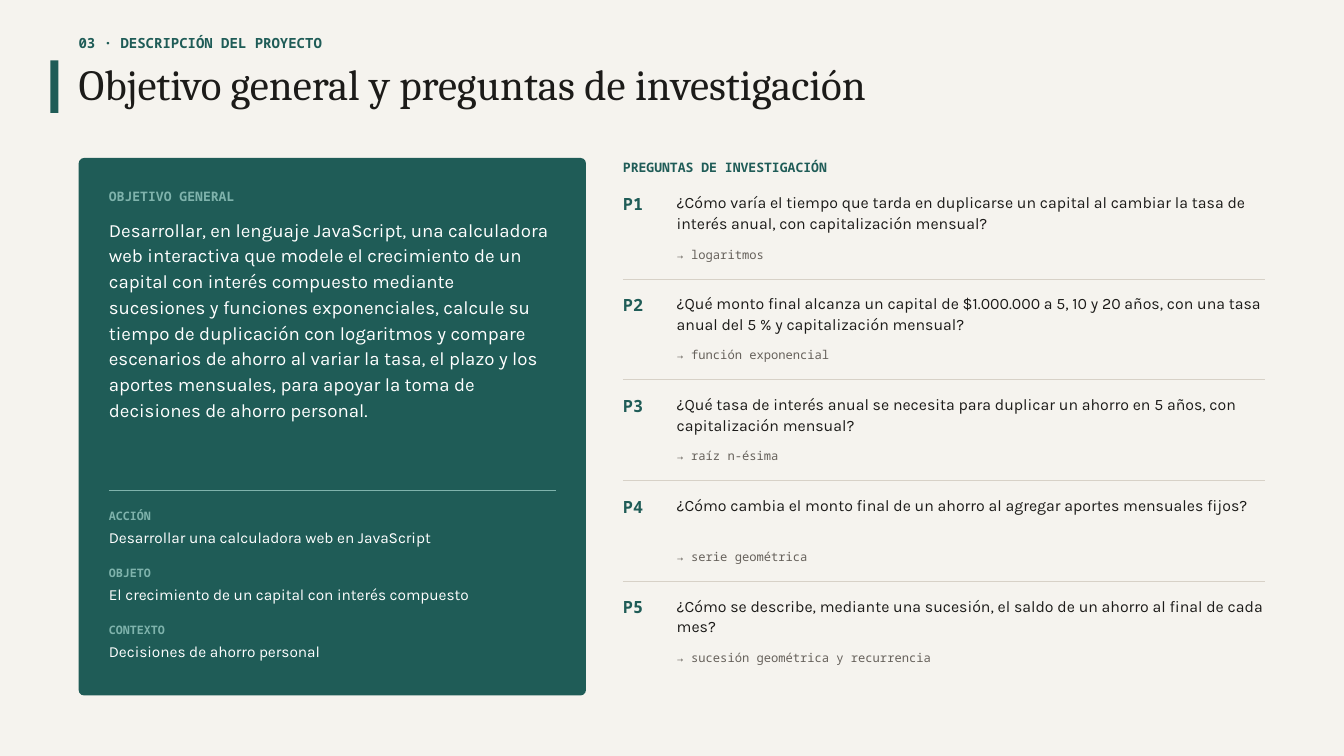
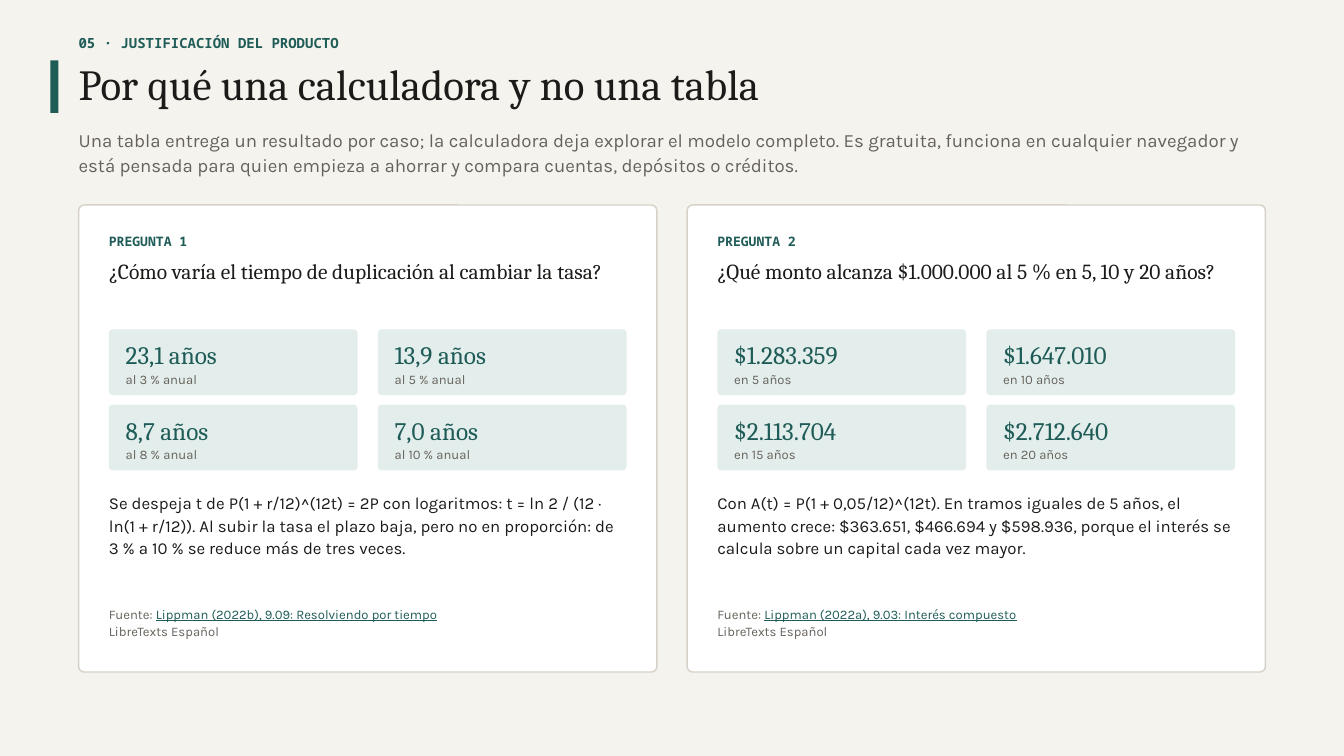
from lxml.etree import SubElement
from pptx import Presentation
from pptx.dml.color import RGBColor
from pptx.enum.shapes import MSO_CONNECTOR as Connector, MSO_SHAPE as Shape
from pptx.oxml.ns import qn
from pptx.util import Pt

COLORS = {
    "paper": "F5F3EE", "ink": "1C1B19", "muted": "66615B", "rule": "D7D1C7",
    "green": "1F5C57", "sage": "7FB3AC", "mint": "E3EEEC", "white": "FFFFFF",
}
SERIF, SANS, MONO = "Cambria", "Karla", "Noto Sans Mono"
WIDTH, HEIGHT = 1440, 810
MARGIN, PAD = 84.24, 32.4
CONTENT = WIDTH - 2 * MARGIN


def rgb(name):
    return RGBColor.from_string(COLORS[name])


class Deck:
    def __init__(self):
        self.presentation = Presentation()
        self.presentation.slide_width = Pt(WIDTH)
        self.presentation.slide_height = Pt(HEIGHT)
        self.slide = None

    def new_slide(self, section, title):
        layout = self.presentation.slide_layouts[6]
        self.slide = self.presentation.slides.add_slide(layout)
        background = self.slide.background.fill
        background.solid()
        background.fore_color.rgb = rgb("paper")
        self.label(MARGIN, 34.56, 1008, section, size=15)
        self.box(54, 64.8, 8.64, 56.16, "green")
        self.text(MARGIN, 61.92, CONTENT, 61.2, title, 46, font=SERIF, spacing=None)

    def box(self, left, top, width, height, fill, radius=0, line=None):
        kind = Shape.ROUNDED_RECTANGLE if radius else Shape.RECTANGLE
        shape = self.slide.shapes.add_shape(kind, Pt(left), Pt(top), Pt(width), Pt(height))
        shape.shadow.inherit = False
        if radius:
            shape.adjustments[0] = radius / min(width, height)
        shape.fill.solid()
        shape.fill.fore_color.rgb = rgb(fill)
        if line:
            shape.line.color.rgb = rgb(line)
            shape.line.width = Pt(1.5)
        else:
            shape.line.fill.background()

    def rule(self, left, top, width, color, weight):
        connector = self.slide.shapes.add_connector(
            Connector.STRAIGHT, Pt(left), Pt(top), Pt(left + width), Pt(top))
        connector.line.color.rgb = rgb(color)
        connector.line.width = Pt(weight)
        SubElement(connector.element.spPr, qn("a:effectLst"))

    def text(self, left, top, width, height, content, size, color="ink",
             font=SANS, bold=False, spacing=1.12):
        """Add a text box with one paragraph per line of content; return its paragraphs."""
        shape = self.slide.shapes.add_textbox(Pt(left), Pt(top), Pt(width), Pt(height))
        frame = shape.text_frame
        frame.word_wrap = True
        frame.margin_left = frame.margin_right = 0
        frame.margin_top = frame.margin_bottom = 0
        frame.text = content
        for paragraph in frame.paragraphs:
            if spacing:
                paragraph.line_spacing = spacing
            paragraph.font.name = font
            paragraph.font.size = Pt(size)
            paragraph.font.bold = bold
            paragraph.font.color.rgb = rgb(color)
        return frame.paragraphs

    def label(self, left, top, width, content, size=14, color="green", height=21.6):
        self.text(left, top, width, height, content, size, color, MONO, bold=True)

    def source(self, left, top, width, reference, publisher):
        first = self.text(left, top, width, 43.2, f"Fuente: \n{publisher}", 14,
                          "muted", spacing=1.1)[0]
        run = first.add_run()
        run.text = reference
        run.font.underline = True
        run.font.color.rgb = rgb("green")

    def tile(self, left, top, width, value, caption):
        self.box(left, top, width, 70.56, "mint", radius=4.3)
        self.text(left + 18, top + 7.2, width - 36, 36, value, 27, "green", SERIF)
        self.text(left + 18, top + 43.2, width - 36, 21.6, caption, 14, "muted")

    def card(self, left, width, heading, question, results, explanation, reference):
        self.box(left, 219.6, width, 500.4, "white", radius=6, line="rule")
        inner_left, inner_width = left + PAD, width - 2 * PAD
        self.label(inner_left, 248.4, inner_width, heading)
        self.text(inner_left, 275.76, inner_width, 64.8, question, 23,
                  font=SERIF, spacing=1.02)
        gap = 21.6
        tile_width = (inner_width - gap) / 2
        for index, (value, caption) in enumerate(results):
            row, column = divmod(index, 2)
            self.tile(inner_left + column * (tile_width + gap), 352.8 + row * 80.64,
                      tile_width, value, caption)
        self.text(inner_left, 525.6, inner_width, 122.4, explanation, 18)
        self.source(inner_left, 648, inner_width, reference, "LibreTexts Español")

    def question_row(self, left, top, width, number, question, topic):
        indent = 57.6
        self.label(left, top, 54, number, size=18, height=28.8)
        self.text(left + indent, top, width - indent, 54, question, 17, spacing=1.08)
        self.text(left + indent, top + 57.6, width - indent, 20.16, f"→ {topic}",
                  13, "muted", MONO)


OBJECTIVE = (
    "Desarrollar, en lenguaje JavaScript, una calculadora web interactiva que modele el "
    "crecimiento de un capital con interés compuesto mediante sucesiones y funciones "
    "exponenciales, calcule su tiempo de duplicación con logaritmos y compare escenarios "
    "de ahorro al variar la tasa, el plazo y los aportes mensuales, para apoyar la toma de "
    "decisiones de ahorro personal."
)
OBJECTIVE_PARTS = [
    ("ACCIÓN", "Desarrollar una calculadora web en JavaScript"),
    ("OBJETO", "El crecimiento de un capital con interés compuesto"),
    ("CONTEXTO", "Decisiones de ahorro personal"),
]
QUESTIONS = [
    ("¿Cómo varía el tiempo que tarda en duplicarse un capital al cambiar la tasa de "
     "interés anual, con capitalización mensual?", "logaritmos"),
    ("¿Qué monto final alcanza un capital de $1.000.000 a 5, 10 y 20 años, con una tasa "
     "anual del 5 % y capitalización mensual?", "función exponencial"),
    ("¿Qué tasa de interés anual se necesita para duplicar un ahorro en 5 años, con "
     "capitalización mensual?", "raíz n-ésima"),
    ("¿Cómo cambia el monto final de un ahorro al agregar aportes mensuales fijos?",
     "serie geométrica"),
    ("¿Cómo se describe, mediante una sucesión, el saldo de un ahorro al final de cada "
     "mes?", "sucesión geométrica y recurrencia"),
]
INTRO = (
    "Una tabla entrega un resultado por caso; la calculadora deja explorar el modelo "
    "completo. Es gratuita, funciona en cualquier navegador y está pensada para quien "
    "empieza a ahorrar y compara cuentas, depósitos o créditos."
)
CARDS = [
    ("PREGUNTA 1", "¿Cómo varía el tiempo de duplicación al cambiar la tasa?",
     [("23,1 años", "al 3 % anual"), ("13,9 años", "al 5 % anual"),
      ("8,7 años", "al 8 % anual"), ("7,0 años", "al 10 % anual")],
     "Se despeja t de P(1 + r/12)^(12t) = 2P con logaritmos: t = ln 2 / (12 · "
     "ln(1 + r/12)). Al subir la tasa el plazo baja, pero no en proporción: de 3 % a "
     "10 % se reduce más de tres veces.",
     "Lippman (2022b), 9.09: Resolviendo por tiempo"),
    ("PREGUNTA 2", "¿Qué monto alcanza $1.000.000 al 5 % en 5, 10 y 20 años?",
     [("$1.283.359", "en 5 años"), ("$1.647.010", "en 10 años"),
      ("$2.113.704", "en 15 años"), ("$2.712.640", "en 20 años")],
     "Con A(t) = P(1 + 0,05/12)^(12t). En tramos iguales de 5 años, el aumento crece: "
     "$363.651, $466.694 y $598.936, porque el interés se calcula sobre un capital cada "
     "vez mayor.",
     "Lippman (2022a), 9.03: Interés compuesto"),
]


def add_objective_slide(deck):
    deck.new_slide("03 · DESCRIPCIÓN DEL PROYECTO",
                   "Objetivo general y preguntas de investigación")
    panel_width = 543.6
    left, width = MARGIN + PAD, panel_width - 2 * PAD
    deck.box(MARGIN, 169.2, panel_width, 576, "green", radius=6)
    deck.label(left, 199.44, width, "OBJETIVO GENERAL", color="sage")
    deck.text(left, 230.4, width, 266.4, OBJECTIVE, 20, "white", spacing=1.15)
    deck.rule(left, 525.6, width, "sage", 1)
    for index, (name, description) in enumerate(OBJECTIVE_PARTS):
        top = 543.6 + index * 61.2
        deck.label(left, top, width, name, size=12.5, color="sage", height=18)
        deck.text(left, top + 20.16, width, 28.8, description, 16.5, "white")

    left = 667.44
    width = WIDTH - MARGIN - left
    deck.label(left, 169.2, width, "PREGUNTAS DE INVESTIGACIÓN")
    for index, (question, topic) in enumerate(QUESTIONS):
        top = 205.2 + index * 108
        if index:
            deck.rule(left, top - 14.4, width, "rule", 0.75)
        deck.question_row(left, top, width, f"P{index + 1}", question, topic)


def add_justification_slide(deck):
    deck.new_slide("05 · JUSTIFICACIÓN DEL PRODUCTO",
                   "Por qué una calculadora y no una tabla")
    deck.text(MARGIN, 133.92, CONTENT, 54, INTRO, 20, "muted", spacing=1.15)
    gap = 32.4
    width = (CONTENT - gap) / 2
    for index, card in enumerate(CARDS):
        deck.card(MARGIN + index * (width + gap), width, *card)


def main():
    deck = Deck()
    add_objective_slide(deck)
    add_justification_slide(deck)
    deck.presentation.save("out.pptx")


if __name__ == "__main__":
    main()
